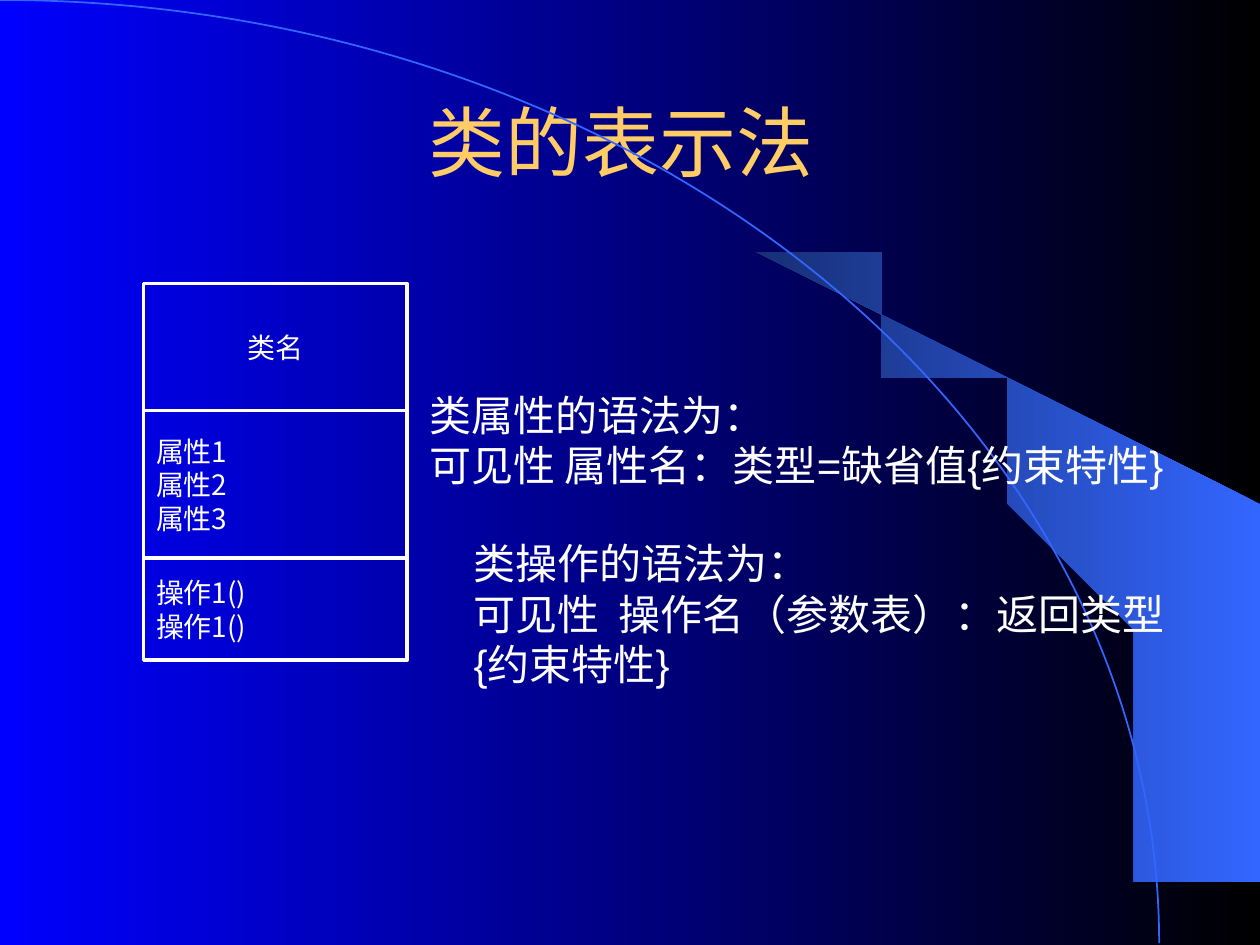
"""Build the slide that shows how a class is drawn in UML."""
from lxml.etree import SubElement
from pptx import Presentation
from pptx.dml.color import RGBColor
from pptx.enum.shapes import MSO_SHAPE
from pptx.enum.text import MSO_ANCHOR, MSO_AUTO_SIZE, PP_ALIGN
from pptx.oxml.ns import qn
from pptx.util import Inches, Pt

COLORS = {"night": "000000", "blue": "0000FF", "arc": "3366FF",
          "shade": "172F75", "title": "FFCC66", "white": "FFFFFF"}
CJK_FONT = "Noto Sans CJK SC"


def write(frame, lines, size, color, font=CJK_FONT, align=PP_ALIGN.LEFT):
    frame.text = "\n".join(lines)
    for paragraph in frame.paragraphs:
        paragraph.alignment = align
        paragraph.font.size = Pt(size)
        paragraph.font.name = font
        paragraph.font.color.rgb = RGBColor.from_string(COLORS[color])
        properties = paragraph._p.pPr.find(qn("a:defRPr"))
        SubElement(properties, qn("a:ea")).set("typeface", CJK_FONT)


def blend(fill, right, left):
    fill.gradient()
    fill.gradient_angle = 180
    for stop, name, position in zip(fill.gradient_stops, (right, left), (0, 1)):
        stop.color.rgb = RGBColor.from_string(COLORS[name])
        stop.position = position


deck = Presentation()
deck.slide_width, deck.slide_height = Inches(10), Inches(7.5)
page = deck.slides.add_slide(deck.slide_layouts[5])
blend(page.background.fill, "night", "blue")

beam_points = [
    (9.2, 7.48), (9.99, 7.49), (9.99, 4.23), (5.89, 1.73), (6.24, 1.99),
    (6.53, 2.22), (6.85, 2.5), (7.16, 2.8), (7.62, 3.3), (8.03, 3.84),
    (8.32, 4.31), (8.58, 4.79), (8.78, 5.28), (8.93, 5.72), (9.03, 6.09),
    (9.13, 6.56), (9.17, 6.96)]
outline = page.shapes.build_freeform(*beam_points[0], scale=Inches(1))
outline.add_line_segments(beam_points[1:], close=True)
beam = outline.convert_to_shape()
beam.shadow.inherit = False
blend(beam.fill, "arc", "shade")
beam.line.fill.background()

arc = page.shapes.add_shape(
    MSO_SHAPE.ARC, Inches(-9.2), 0, Inches(18.4), Inches(14.97))
arc.shadow.inherit = False
arc.fill.background()
arc.line.color.rgb = RGBColor.from_string(COLORS["arc"])
arc.line.width = Pt(1)

title = page.shapes.title
title.left, title.top = Inches(0.75), Inches(0.67)
title.width, title.height = Inches(8.5), Inches(0.89)
title.text_frame.vertical_anchor = MSO_ANCHOR.MIDDLE
title.text_frame.auto_size = MSO_AUTO_SIZE.NONE
write(title.text_frame, ["类的表示法 "], 44, "title", align=PP_ALIGN.CENTER)

compartments = [
    (1.01, PP_ALIGN.CENTER, ["类名"]),
    (1.17, PP_ALIGN.LEFT, ["属性1", "属性2", "属性3"]),
    (0.81, PP_ALIGN.LEFT, ["操作1()", "操作1()"])]
top = 2.25
for height, align, lines in compartments:
    box = page.shapes.add_shape(
        MSO_SHAPE.RECTANGLE, Inches(1.14), Inches(top), Inches(2.09), Inches(height))
    box.shadow.inherit = False
    box.fill.background()
    box.line.color.rgb = RGBColor.from_string(COLORS["white"])
    box.line.width = Pt(2)
    box.text_frame.word_wrap = False
    box.text_frame.vertical_anchor = MSO_ANCHOR.MIDDLE
    write(box.text_frame, lines, 16, "white", align=align)
    top += height

syntax_notes = [
    (3.66, 4.22, 5.85, 1.3, True,
     ["类操作的语法为：", "可见性  操作名（参数表）：返回类型{约束特性}"]),
    (3.31, 3.04, 6.42, 0.9, False,
     ["类属性的语法为：", "可见性 属性名：类型=缺省值{约束特性}"])]
for left, top, width, height, wrap, lines in syntax_notes:
    note = page.shapes.add_textbox(*map(Inches, (left, top, width, height)))
    note.text_frame.word_wrap = wrap
    note.text_frame.auto_size = MSO_AUTO_SIZE.SHAPE_TO_FIT_TEXT
    write(note.text_frame, lines, 24, "white", font="Arial")

deck.save("out.pptx")
